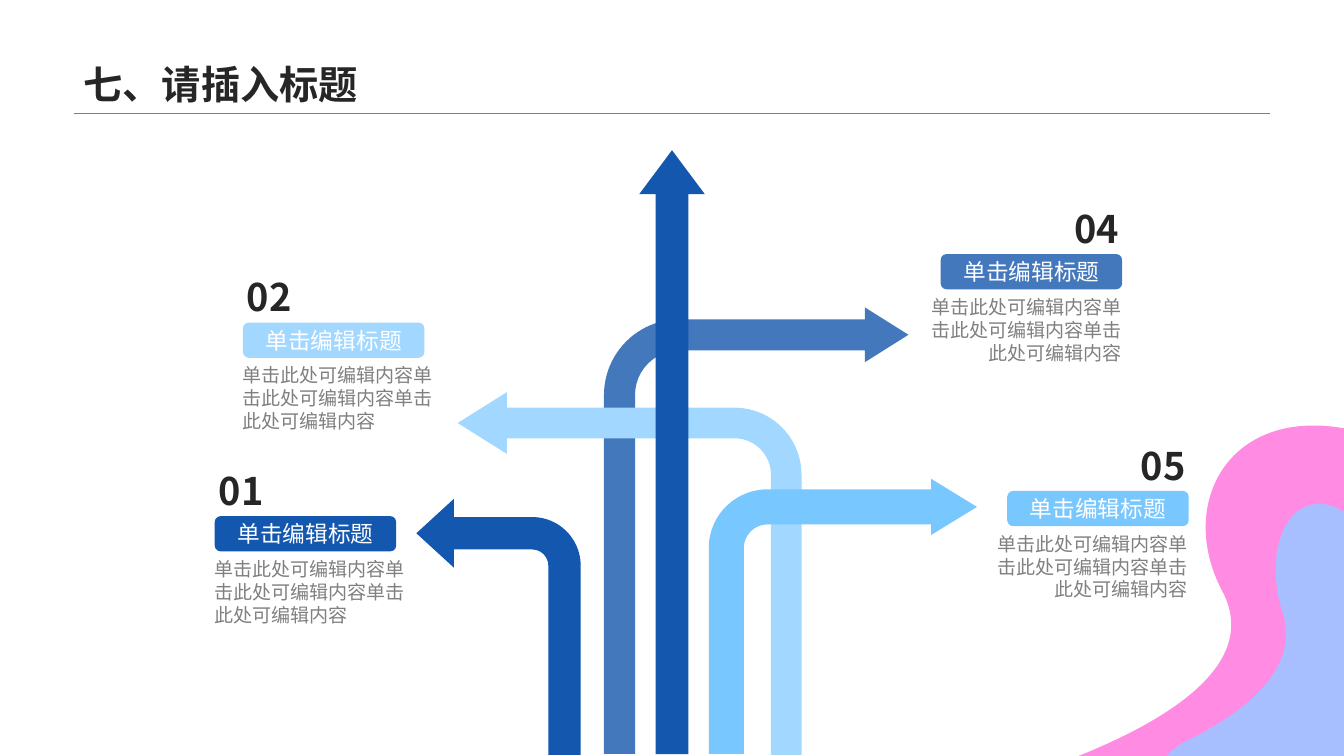
from lxml import etree
from pptx import Presentation
from pptx.dml.color import RGBColor
from pptx.enum.shapes import MSO_CONNECTOR, MSO_SHAPE
from pptx.enum.text import MSO_ANCHOR, PP_ALIGN
from pptx.oxml.ns import qn
from pptx.util import Inches, Pt

LEFT, CENTER, RIGHT = PP_ALIGN.LEFT, PP_ALIGN.CENTER, PP_ALIGN.RIGHT
TOP, MIDDLE, BOTTOM = MSO_ANCHOR.TOP, MSO_ANCHOR.MIDDLE, MSO_ANCHOR.BOTTOM
BENT, UP, ROUNDED = MSO_SHAPE.BENT_ARROW, MSO_SHAPE.UP_ARROW, MSO_SHAPE.ROUNDED_RECTANGLE
STRAIGHT = MSO_CONNECTOR.STRAIGHT

THEME = {
    "navy": "1357AE", "blue": "4478BD", "sky": "78C7FF", "pale": "A2D8FF",
    "pink": "FF33CC", "lilac": "A8BFFF", "ink": "262626", "grey": "808080", "white": "FFFFFF",
    "latin": "Arial", "cjk": "Noto Sans CJK SC",
    "title_size": 28, "number_size": 27.1, "label_size": 16.2, "body_size": 13.6,
}

TITLE = "七、请插入标题"
LABEL = "单击编辑标题"
BODY = "单击此处可编辑内容" * 3

BLOBS = [
    ("pink", 56, (9.53, 3.7, 4.23, 5.26), [
        ("moveTo", (9.01, 8.45)),
        ("cubicBezTo", (9.01, 8.25), (9.18, 7.99), (9.74, 7.83)),
        ("cubicBezTo", (11.22, 7.39), (12.58, 6.72), (12.12, 5.86)),
        ("cubicBezTo", (11.66, 4.99), (12.2, 3.99), (13.43, 4.27)),
        ("cubicBezTo", (13.77, 4.34), (14.05, 4.55), (14.28, 4.8)),
        ("lnTo", (14.28, 8.45)), ("lnTo", (9.01, 8.45)), ("close",)]),
    ("lilac", 100, (11.16, 5.33, 2.75, 2.09), [
        ("moveTo", (11.49, 7.75)),
        ("cubicBezTo", (11.48, 7.62), (11.55, 7.46), (11.77, 7.35)),
        ("cubicBezTo", (12.36, 7.06), (12.9, 6.63), (12.72, 6.07)),
        ("cubicBezTo", (12.53, 5.5), (12.75, 4.85), (13.24, 5.03)),
        ("cubicBezTo", (13.37, 5.08), (13.48, 5.21), (13.58, 5.38)),
        ("lnTo", (13.58, 7.75)), ("lnTo", (11.49, 7.75)), ("close",)]),
]

ARROWS = [
    (BENT, (5.99, 3.05, 3.02, 4.43), "blue", False, (0.102, 0.09, 0.143, 0.249)),
    (BENT, (4.54, 3.89, 3.41, 3.6), "pale", True, (0.089, 0.09, 0.143, 0.195)),
    (BENT, (4.13, 4.95, 1.63, 2.54), "navy", True, (0.197, 0.209, 0.228, 0.295)),
    (BENT, (7.03, 4.75, 2.66, 2.73), "sky", False, (0.131, 0.105, 0.171, 0.219)),
    (UP, (6.34, 1.49, 0.65, 5.99), "navy", False, (0.5, 0.671)),
]

CARDS = [
    ("01", 2.13, 5.12, "navy", LEFT),
    ("02", 2.41, 3.2, "pale", LEFT),
    ("05", 9.99, 4.87, "sky", RIGHT),
    ("04", 9.33, 2.52, "blue", RIGHT),
]
LABEL_WIDTH, LABEL_HEIGHT = 1.8, 0.35
BODY_WIDTH, BODY_HEIGHT = 2.02, 0.68
NUMBER_WIDTH, NUMBER_HEIGHT = 0.47, 0.46


def color(name):
    return RGBColor.from_string(THEME[name])


def write(shape, text, size, ink, align=LEFT, anchor=TOP, bold=False, wrap=True, inset=0, latin="cjk"):
    frame = shape.text_frame
    frame.word_wrap = wrap
    frame.vertical_anchor = anchor
    frame.margin_left = frame.margin_right = Inches(inset)
    frame.margin_top = frame.margin_bottom = Inches(inset / 2)
    para = frame.paragraphs[0]
    para.alignment = align
    span = para.add_run()
    span.text = text
    span.font.size = Pt(THEME[size])
    span.font.bold = bold
    span.font.color.rgb = color(ink)
    span.font.name = THEME[latin]
    east = etree.SubElement(span.font._element, qn("a:ea"))
    east.set("typeface", THEME["cjk"])
    return para


def paint(shape, fill, opacity=100):
    shape.shadow.inherit = False
    shape.fill.solid()
    shape.fill.fore_color.rgb = color(fill)
    shape.line.fill.background()
    if opacity < 100:
        tone = shape._element.spPr.find(qn("a:solidFill"))[0]
        etree.SubElement(tone, qn("a:alpha")).set("val", str(opacity * 1000))


def add_blob(page, fill, opacity, place, commands):
    left, top, width, height = place
    center_x, center_y = left + width / 2, top + height / 2
    right, bottom = left + width, top + height
    builder = page.shapes.build_freeform(Inches(left), Inches(top))
    frame = ((right, top), (right, bottom), (left, bottom))
    builder.add_line_segments([(Inches(x), Inches(y)) for x, y in frame])
    blob = builder.convert_to_shape()
    outline = blob._element.spPr.find(".//" + qn("a:path"))
    for corner in list(outline):
        outline.remove(corner)
    for verb, *points in commands:
        command = etree.SubElement(outline, qn("a:" + verb))
        for x, y in points:
            point = etree.SubElement(command, qn("a:pt"))
            point.set("x", str(Inches(width / 2 + y - center_y)))
            point.set("y", str(Inches(height / 2 + center_x - x)))
    blob.rotation = 90
    paint(blob, fill, opacity)


def add_arrow(page, kind, place, fill, flipped, adjustments):
    arrow = page.shapes.add_shape(kind, *map(Inches, place))
    for index, value in enumerate(adjustments):
        arrow.adjustments[index] = value
    if flipped:
        arrow._element.spPr.find(qn("a:xfrm")).set("flipH", "1")
    paint(arrow, fill)


def add_card(page, number, left, top, fill, align):
    label = page.shapes.add_shape(ROUNDED, *map(Inches, (left, top, LABEL_WIDTH, LABEL_HEIGHT)))
    paint(label, fill)
    write(label, LABEL, "label_size", "white", align=CENTER, anchor=MIDDLE, wrap=False)
    right = left + LABEL_WIDTH
    body_left = left if align == LEFT else right - 0.01 - BODY_WIDTH
    number_left = left + 0.04 if align == LEFT else right - 0.03 - NUMBER_WIDTH
    body = page.shapes.add_textbox(*map(Inches, (body_left, top + 0.41, BODY_WIDTH, BODY_HEIGHT)))
    write(body, BODY, "body_size", "grey", align=align)
    box = page.shapes.add_textbox(*map(Inches, (number_left, top - 0.49, NUMBER_WIDTH, NUMBER_HEIGHT)))
    write(box, number, "number_size", "ink", align=align, anchor=BOTTOM, bold=True, wrap=False)


def add_title(page):
    title = page.shapes.title
    title.left, title.top, title.width, title.height = map(Inches, (0.73, 0, 11.87, 1.12))
    para = write(title, TITLE, "title_size", "ink", anchor=BOTTOM, bold=True, inset=0.1, latin="latin")
    para.line_spacing = 0.9
    rule = page.shapes.add_connector(STRAIGHT, *map(Inches, (0.73, 1.12, 12.6, 1.12)))
    rule.line.color.rgb = color("grey")
    rule.line.width = Pt(0.25)
    etree.SubElement(rule._element.spPr, qn("a:effectLst"))


def main():
    """Build the slide of branching arrows with four captioned cards."""
    deck = Presentation()
    deck.slide_width, deck.slide_height = Inches(13.33), Inches(7.5)
    page = deck.slides.add_slide(deck.slide_layouts[5])
    add_title(page)
    for blob in BLOBS:
        add_blob(page, *blob)
    for arrow in ARROWS:
        add_arrow(page, *arrow)
    for card in CARDS:
        add_card(page, *card)
    deck.save("out.pptx")


if __name__ == "__main__":
    main()
